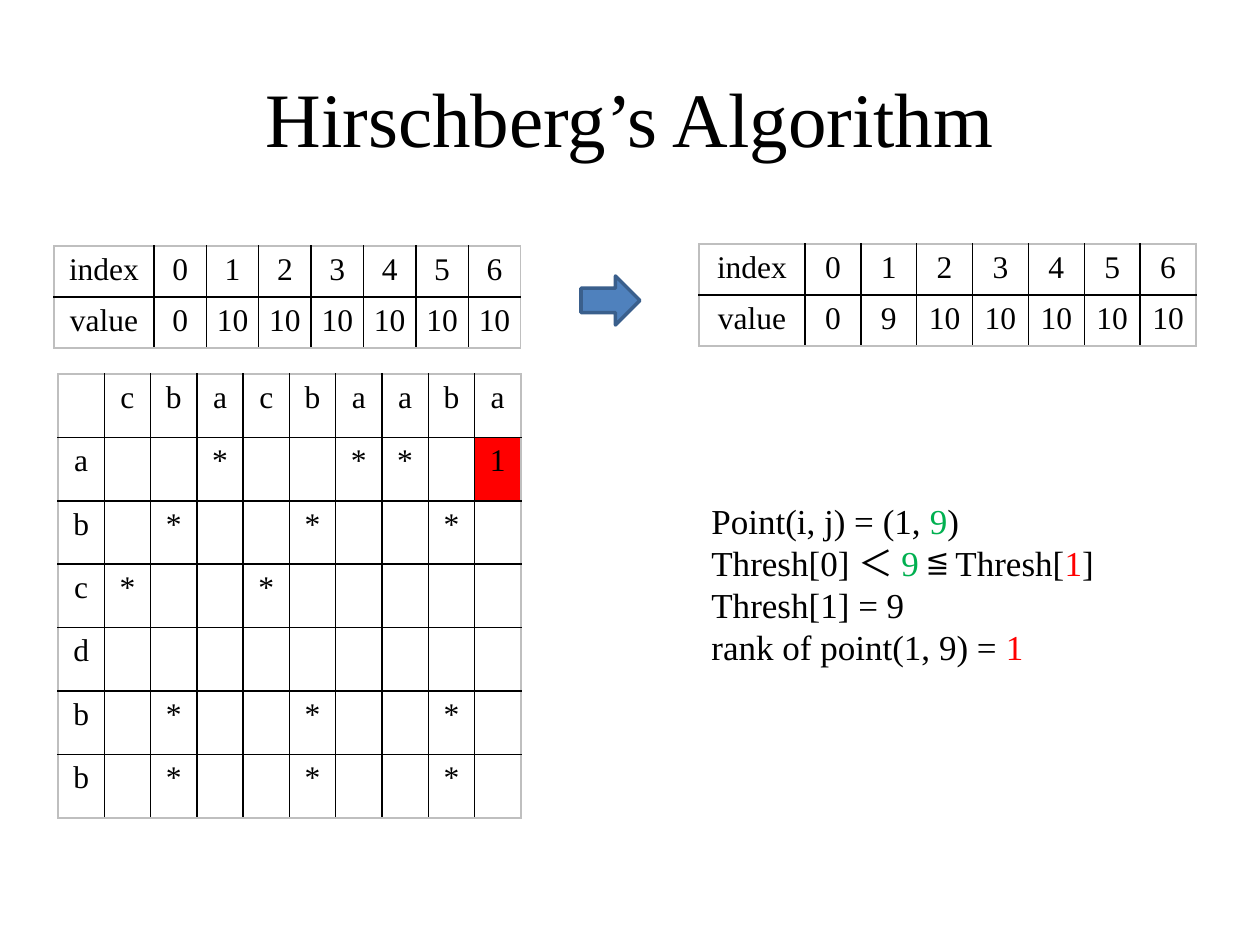
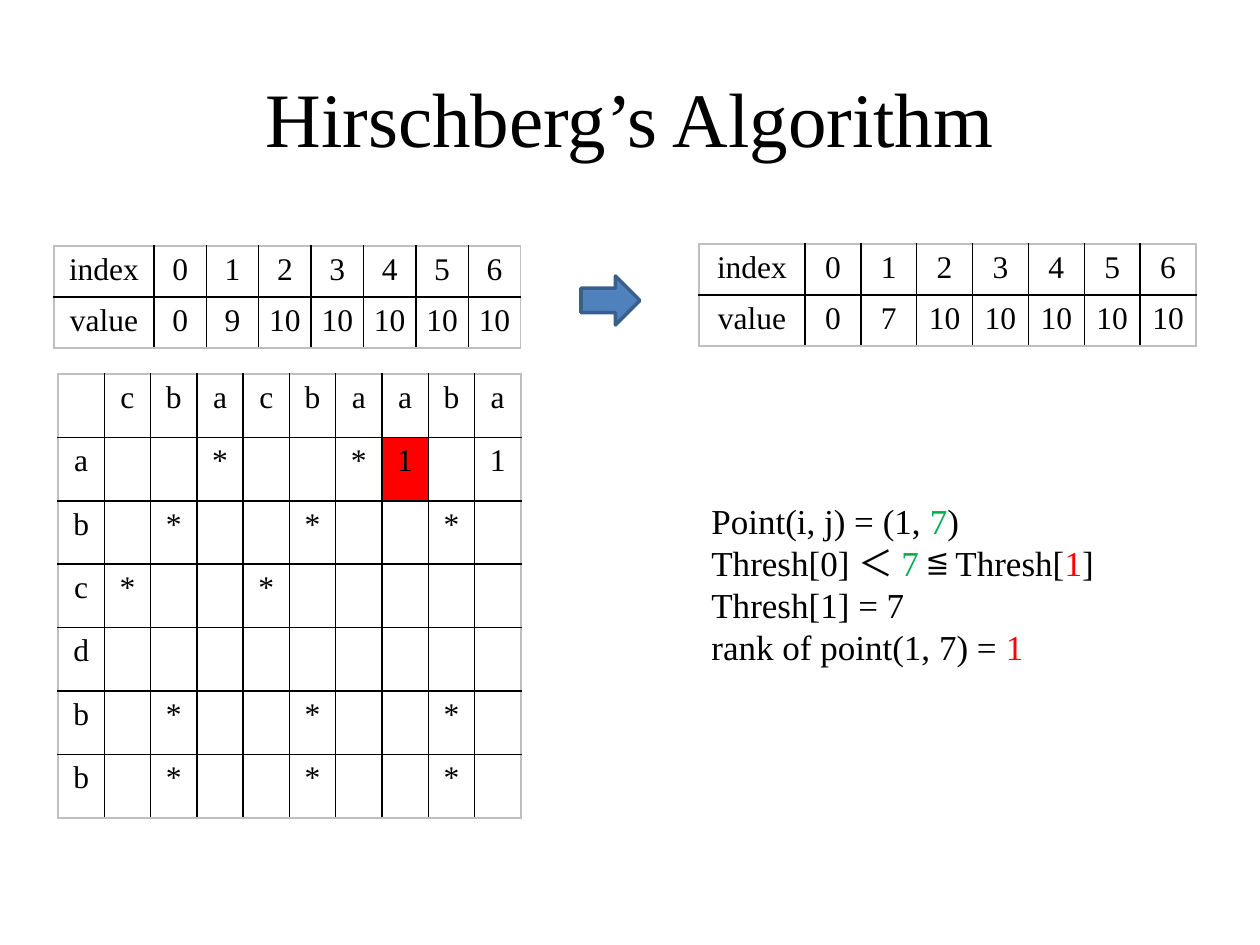
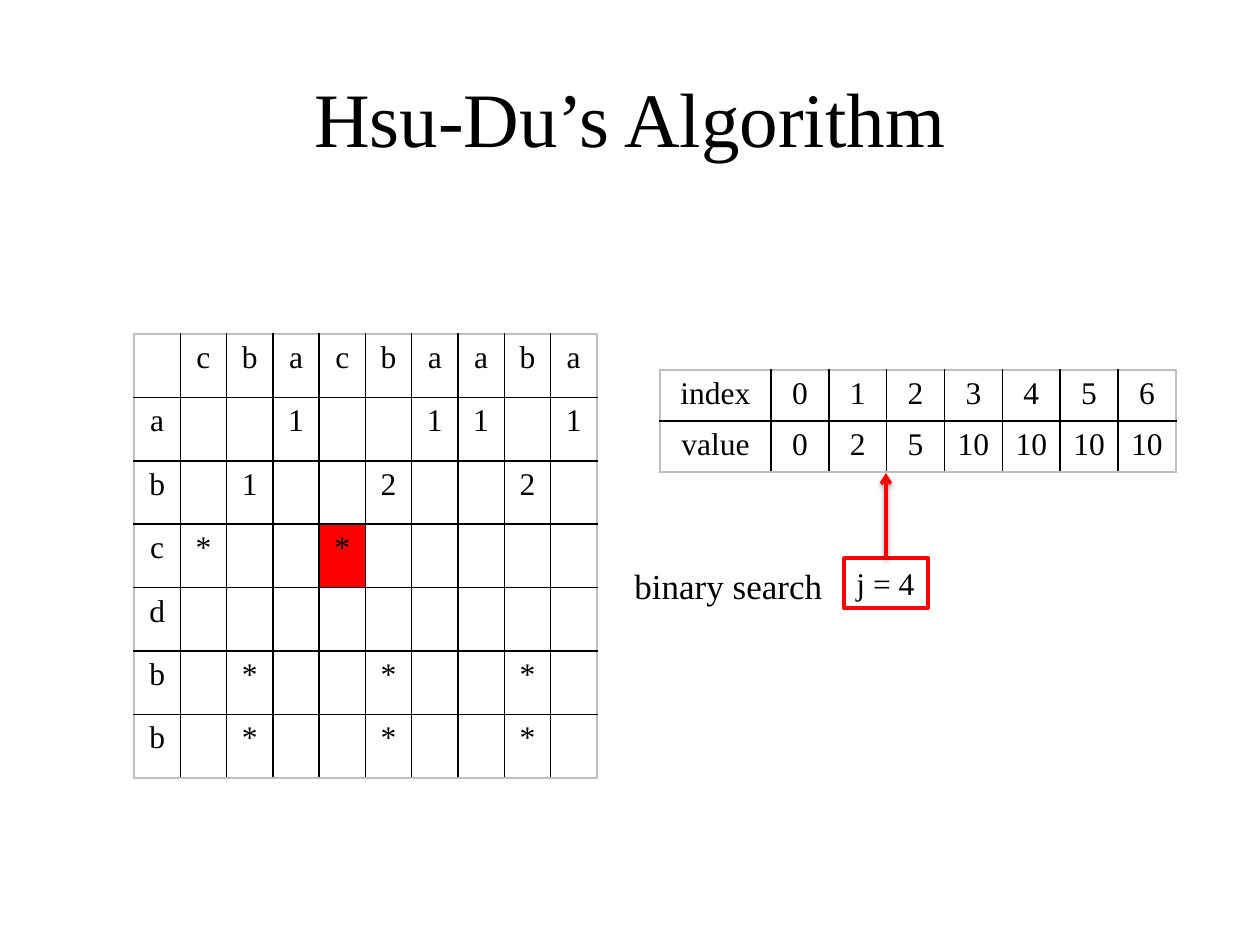
from dataclasses import dataclass

from lxml.etree import SubElement
from pptx import Presentation
from pptx.dml.color import RGBColor
from pptx.enum.shapes import MSO_CONNECTOR as CONN, MSO_SHAPE as SHAPE
from pptx.enum.text import MSO_ANCHOR as ANCHOR, MSO_AUTO_SIZE as AUTOSIZE, PP_ALIGN as ALIGN
from pptx.oxml.ns import qn
from pptx.util import Emu, Pt


@dataclass(frozen=True)
class Theme:
    font: str = "Times New Roman"
    title: int = 44
    body: int = 20
    cell: int = 18
    black: str = "000000"
    white: str = "FFFFFF"
    red: str = "FF0000"
    green: str = "00B050"
    blue: str = "4F81BD"
    blue_edge: str = "3A5F8C"
    frame: str = "BFBFBF"


T = Theme()
PX_PER_INCH = 126
COLUMN_WORD = "cbacbaaba"
ROW_WORD = "abcdbb"


def px(n):
    return Emu(round(n * 914400 / PX_PER_INCH))


def rgb(color):
    return RGBColor.from_string(color)


def add_run(p, text, size, color=T.black):
    r = p.add_run()
    r.text = text
    r.font.name, r.font.size = T.font, Pt(size)
    r.font.color.rgb = rgb(color)


def add_title(s, text):
    sp = s.shapes.title
    sp.left, sp.top, sp.width, sp.height = map(px, (63, 38, 1134, 158))
    tf = sp.text_frame
    tf.vertical_anchor = ANCHOR.MIDDLE
    p = tf.paragraphs[0]
    p.alignment = ALIGN.CENTER
    add_run(p, text, T.title)


def add_text(s, box, lines):
    """Each line is a list of (text, colour) runs."""
    tf = s.shapes.add_textbox(*map(px, box)).text_frame
    tf.word_wrap = True
    tf.auto_size = AUTOSIZE.SHAPE_TO_FIT_TEXT
    for i, line in enumerate(lines):
        p = tf.add_paragraph() if i else tf.paragraphs[0]
        for text, color in line:
            add_run(p, text, T.body, color)


def add_preset(s, kind, box, fill, edge):
    sp = s.shapes.add_shape(kind, *map(px, box))
    sp.shadow.inherit = False
    sp.fill.solid()
    sp.fill.fore_color.rgb = rgb(fill)
    sp.line.color.rgb = rgb(edge)
    sp.line.width = Pt(2)
    return sp


def add_borders(cell, outer_sides):
    """Black inside lines, grey on the sides that lie on the table frame."""
    tc_pr = cell._tc.get_or_add_tcPr()
    for side in "LRTB":
        ln = SubElement(tc_pr, qn(f"a:ln{side}"), w=str(Pt(1)))
        fill = SubElement(ln, qn("a:solidFill"))
        SubElement(fill, qn("a:srgbClr"), val=T.frame if side in outer_sides else T.black)


def outer_sides(i, j, n_rows, n_cols):
    edges = {"L": j == 0, "R": j == n_cols - 1, "T": i == 0, "B": i == n_rows - 1}
    return {side for side, on_frame in edges.items() if on_frame}


def add_table(s, box, rows, first_width=None, highlight=None):
    """Equal rows and columns, except a first column of first_width px."""
    n_rows, n_cols = len(rows), len(rows[0])
    table = s.shapes.add_table(n_rows, n_cols, *map(px, box)).table
    table.first_row = table.horz_banding = False
    for row in table.rows:
        row.height = px(box[3] / n_rows)
    first = first_width or box[2] / n_cols
    for j, col in enumerate(table.columns):
        col.width = px((box[2] - first) / (n_cols - 1) if j else first)
    for i, values in enumerate(rows):
        for j, value in enumerate(values):
            cell = table.cell(i, j)
            add_borders(cell, outer_sides(i, j, n_rows, n_cols))
            if (i, j) == highlight:
                cell.fill.solid()
                cell.fill.fore_color.rgb = rgb(T.red)
            else:
                cell.fill.background()
            if first_width and j:
                cell.margin_left = cell.margin_right = px(5)
            p = cell.text_frame.paragraphs[0]
            p.alignment = ALIGN.CENTER
            if value:
                add_run(p, value, T.cell)


def add_thresholds(s, box, first_width, known):
    """Index/value table; thresholds not yet known are 10."""
    values = [0, *known] + [10] * (6 - len(known))
    rows = [["index", *map(str, range(7))], ["value", *map(str, values)]]
    add_table(s, box, rows, first_width)


def add_match_grid(s, left, top, ranks, current):
    """Stars mark equal letters; ranks replaces some of them."""
    rows = [["", *COLUMN_WORD]]
    for i, a in enumerate(ROW_WORD, 1):
        marks = [ranks.get((i, j), "*" if a == b else "")
                 for j, b in enumerate(COLUMN_WORD, 1)]
        rows.append([a, *marks])
    add_table(s, (left, top, 463, 444), rows, highlight=current)


def add_search_box(s):
    sp = add_preset(s, SHAPE.RECTANGLE, (844, 558, 84, 50), T.white, T.red)
    tf = sp.text_frame
    tf.word_wrap = False
    tf.auto_size = AUTOSIZE.SHAPE_TO_FIT_TEXT
    p = tf.paragraphs[0]
    p.alignment = ALIGN.LEFT
    add_run(p, "j = 4", T.cell)
    return sp


def add_arrow_up(s, sp, top):
    """Arrow with a soft shadow from the top of sp."""
    x = sp.left + sp.width // 2
    line = s.shapes.add_connector(CONN.STRAIGHT, x, sp.top, x, px(top))
    line.begin_connect(sp, 0)
    line.line.color.rgb = rgb(T.red)
    line.line.width = Pt(2)
    sp_pr = line._element.spPr
    SubElement(sp_pr.find(qn("a:ln")), qn("a:tailEnd"), type="arrow")
    effects = SubElement(sp_pr, qn("a:effectLst"))
    shadow = SubElement(effects, qn("a:outerShdw"), blurRad=str(Pt(3.1)),
                        dist=str(Pt(1.6)), dir="5400000", rotWithShape="0")
    color = SubElement(shadow, qn("a:srgbClr"), val=T.black)
    SubElement(color, qn("a:alpha"), val="38000")


def new_slide(prs, title):
    s = prs.slides.add_slide(prs.slide_layouts[5])
    add_title(s, title)
    return s


def hirschberg_slide(prs, j, before, ranks):
    """One step: point (1, j) gets rank 1 and lowers Thresh[1] to j."""
    s = new_slide(prs, "Hirschberg’s Algorithm")
    add_match_grid(s, 58, 374, {**ranks, (1, j): "1"}, (1, j))
    add_thresholds(s, (54, 246, 467, 102), 100, before)
    add_text(s, (699, 493, 427, 183), [
        [("Point(i, j) = (1, ", T.black), (f"{j}", T.green), (")", T.black)],
        [("Thresh[0] ＜ ", T.black), (f"{j}", T.green), (" ≦ Thresh[", T.black),
         ("1", T.red), ("]", T.black)],
        [(f"Thresh[1] = {j}", T.black)],
        [(f"rank of point(1, {j}) = ", T.black), ("1", T.red)],
    ])
    add_preset(s, SHAPE.RIGHT_ARROW, (581, 276, 59, 49), T.blue, T.blue_edge)
    add_thresholds(s, (699, 244, 497, 102), 106, [j])


def hsu_du_slide(prs):
    s = new_slide(prs, "Hsu-Du’s Algorithm")
    ranks = {(1, j): "1" for j in (3, 6, 7, 9)}
    ranks |= {(2, 2): "1", (2, 5): "2", (2, 8): "2"}
    add_match_grid(s, 134, 334, ranks, (3, 4))
    add_thresholds(s, (660, 370, 516, 102), 111, [2, 5])
    add_arrow_up(s, add_search_box(s), 473)
    add_text(s, (622, 558, 220, 55), [[("binary search", T.black)]])


def main():
    prs = Presentation()
    prs.slide_width, prs.slide_height = px(1260), px(945)
    hirschberg_slide(prs, 9, [], {})
    hirschberg_slide(prs, 7, [9], {(1, 9): "1"})
    hsu_du_slide(prs)
    prs.save("out.pptx")


if __name__ == "__main__":
    main()
